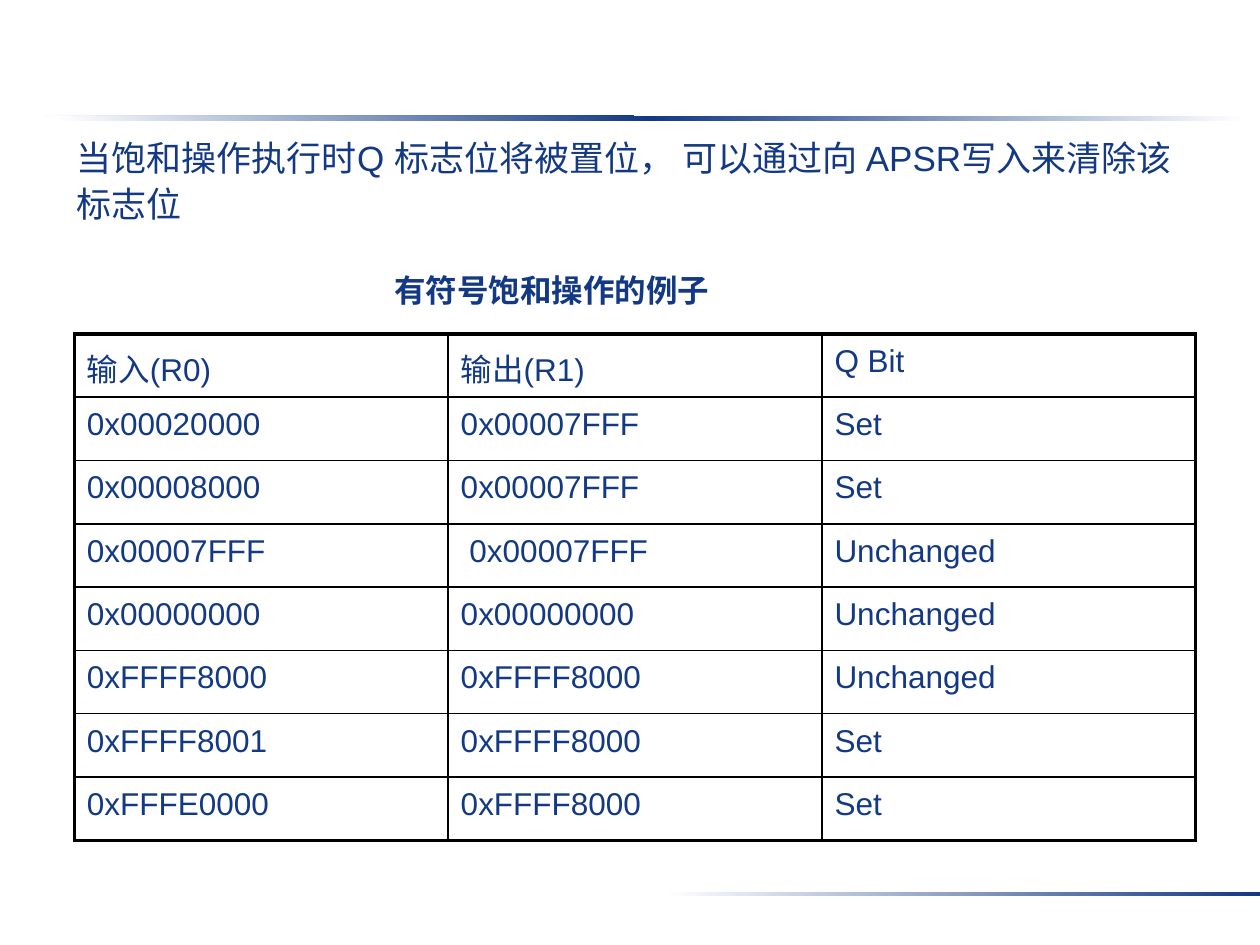
import pptx
import pptx.dml.color
import pptx.enum.shapes
import pptx.enum.text
import pptx.oxml.ns
import pptx.util
from lxml import etree

# The slide is a grid of 100 columns by 75 rows; boxes are (left, top, width, height)
COLUMNS, ROWS = 100, 75
WIDTH, HEIGHT = pptx.util.Inches(10), pptx.util.Inches(7.5)
NAVY, WHITE, BLACK = "133984", "FFFFFF", "000000"
THIN, THICK = 1, 2.25

SATURATION = [
    ("输入(R0)", "输出(R1)", "Q Bit"),
    ("0x00020000", "0x00007FFF", "Set"),
    ("0x00008000", "0x00007FFF", "Set"),
    ("0x00007FFF", " 0x00007FFF", "Unchanged"),
    ("0x00000000", "0x00000000", "Unchanged"),
    ("0xFFFF8000", "0xFFFF8000", "Unchanged"),
    ("0xFFFF8001", "0xFFFF8000", "Set"),
    ("0xFFFE0000", "0xFFFF8000", "Set"),
]


def color(value):
    return pptx.dml.color.RGBColor.from_string(value)


def place(box):
    left, top, width, height = box
    return (round(left * WIDTH / COLUMNS), round(top * HEIGHT / ROWS),
            round(width * WIDTH / COLUMNS), round(height * HEIGHT / ROWS))


def write(frame, text, size, bold=False, spacing=None):
    frame.text = text
    paragraph = frame.paragraphs[0]
    if spacing:
        paragraph.line_spacing = spacing
    font = paragraph.runs[0].font
    font.name, font.size, font.bold = "Arial", pptx.util.Pt(size), bold
    font.color.rgb = color(NAVY)


def add_fading_rule(slide, box, start, end):
    rule = slide.shapes.add_shape(
        pptx.enum.shapes.MSO_SHAPE.RECTANGLE, *place(box))
    rule.shadow.inherit = False
    rule.line.fill.background()
    rule.fill.gradient()
    rule.fill.gradient_angle = 0
    for stop, value in zip(rule.fill.gradient_stops, (start, end)):
        stop.color.rgb = color(value)


def add_decoration(slide):
    add_fading_rule(slide, (3.1, 9.1, 47.2, 0.3), WHITE, NAVY)
    add_fading_rule(slide, (52.8, 70.8, 47.2, 0.3), WHITE, NAVY)
    # Two halves meet in the middle of the top rule
    add_fading_rule(slide, (4.4, 9.2, 47.2, 0.4), WHITE, NAVY)
    add_fading_rule(slide, (51.6, 9.2, 47.2, 0.4), NAVY, WHITE)


def add_text(slide, box, text, size, wrap=True, **style):
    frame = slide.shapes.add_textbox(*place(box)).text_frame
    frame.word_wrap = wrap
    frame.auto_size = pptx.enum.text.MSO_AUTO_SIZE.NONE
    write(frame, text, size, **style)


def set_borders(cell, widths):
    properties = cell._tc.get_or_add_tcPr()
    for index, (side, width) in enumerate(widths.items()):
        line = etree.Element(pptx.oxml.ns.qn(f"a:ln{side}"),
                             w=str(pptx.util.Pt(width)))
        fill = etree.SubElement(line, pptx.oxml.ns.qn("a:solidFill"))
        etree.SubElement(fill, pptx.oxml.ns.qn("a:srgbClr"), val=BLACK)
        properties.insert(index, line)


def add_saturation_table(slide, box, records):
    last_row, last_column = len(records) - 1, len(records[0]) - 1
    left, top, width, height = place(box)
    table = slide.shapes.add_table(
        last_row + 1, last_column + 1, left, top, width, height).table
    table.first_row = table.horz_banding = False
    for column in table.columns:
        column.width = width // (last_column + 1)
    for row in table.rows:
        row.height = height // (last_row + 1)
    for r, record in enumerate(records):
        for c, value in enumerate(record):
            cell = table.cell(r, c)
            cell.fill.background()
            write(cell.text_frame, value, 18, spacing=1.1)
            # Outer edges are thick, inner ones thin
            edges = {"L": c == 0, "R": c == last_column,
                     "T": r == 0, "B": r == last_row}
            set_borders(cell, {side: THICK if outer else THIN
                               for side, outer in edges.items()})


def main():
    presentation = pptx.Presentation()
    presentation.slide_width, presentation.slide_height = WIDTH, HEIGHT
    slide = presentation.slides.add_slide(presentation.slide_layouts[6])

    add_decoration(slide)
    # Explanation of the Q flag
    add_text(slide, (5.1, 10, 90, 11),
             "当饱和操作执行时Q 标志位将被置位， 可以通过向 APSR写入来清除该标志位",
             20, spacing=1.1)
    # Table with its caption
    add_text(slide, (30.3, 21, 27.4, 4), "有符号饱和操作的例子", 18,
             wrap=False, bold=True)
    add_saturation_table(slide, (5.9, 26.5, 89, 40.2), SATURATION)

    presentation.save("out.pptx")


if __name__ == "__main__":
    main()
